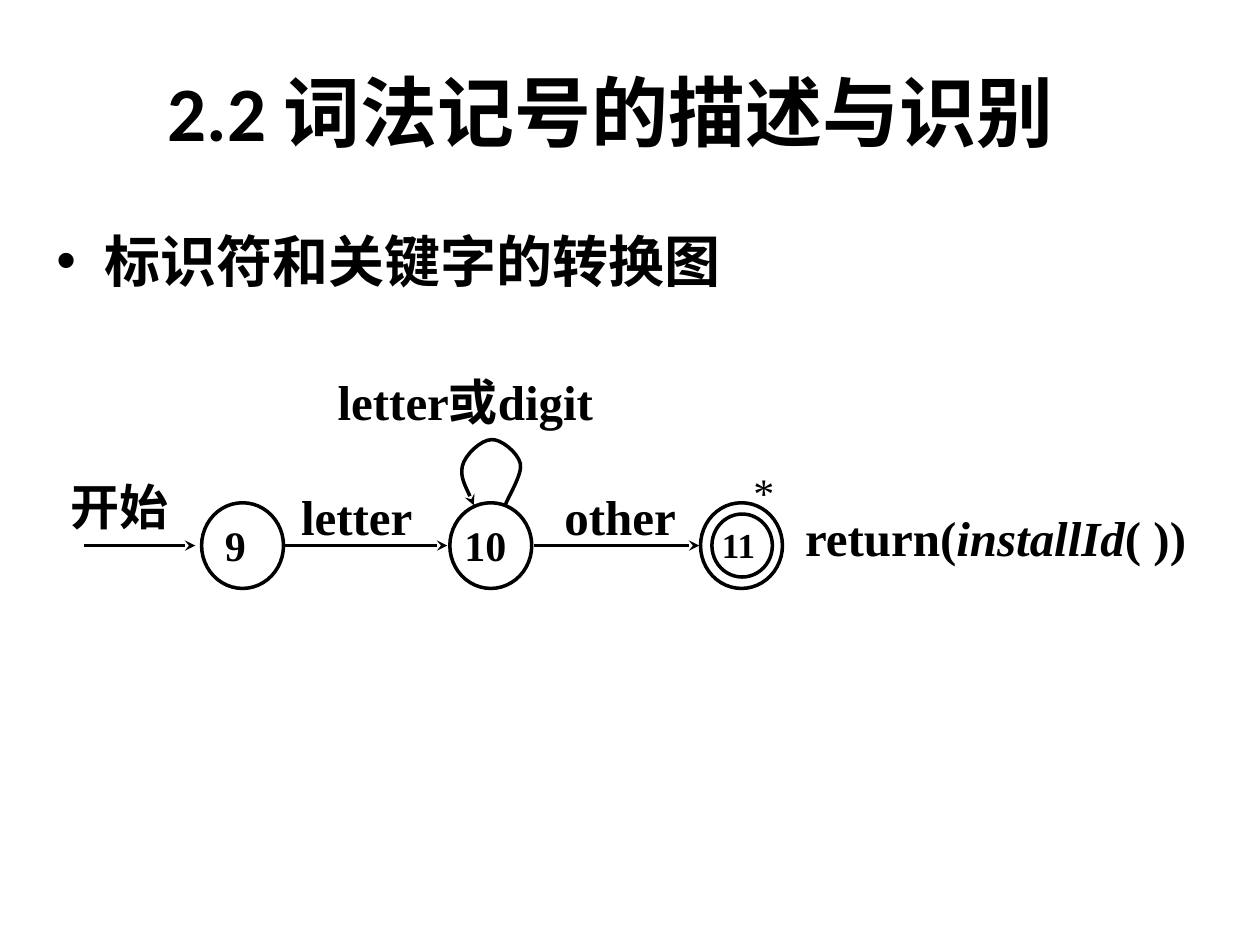
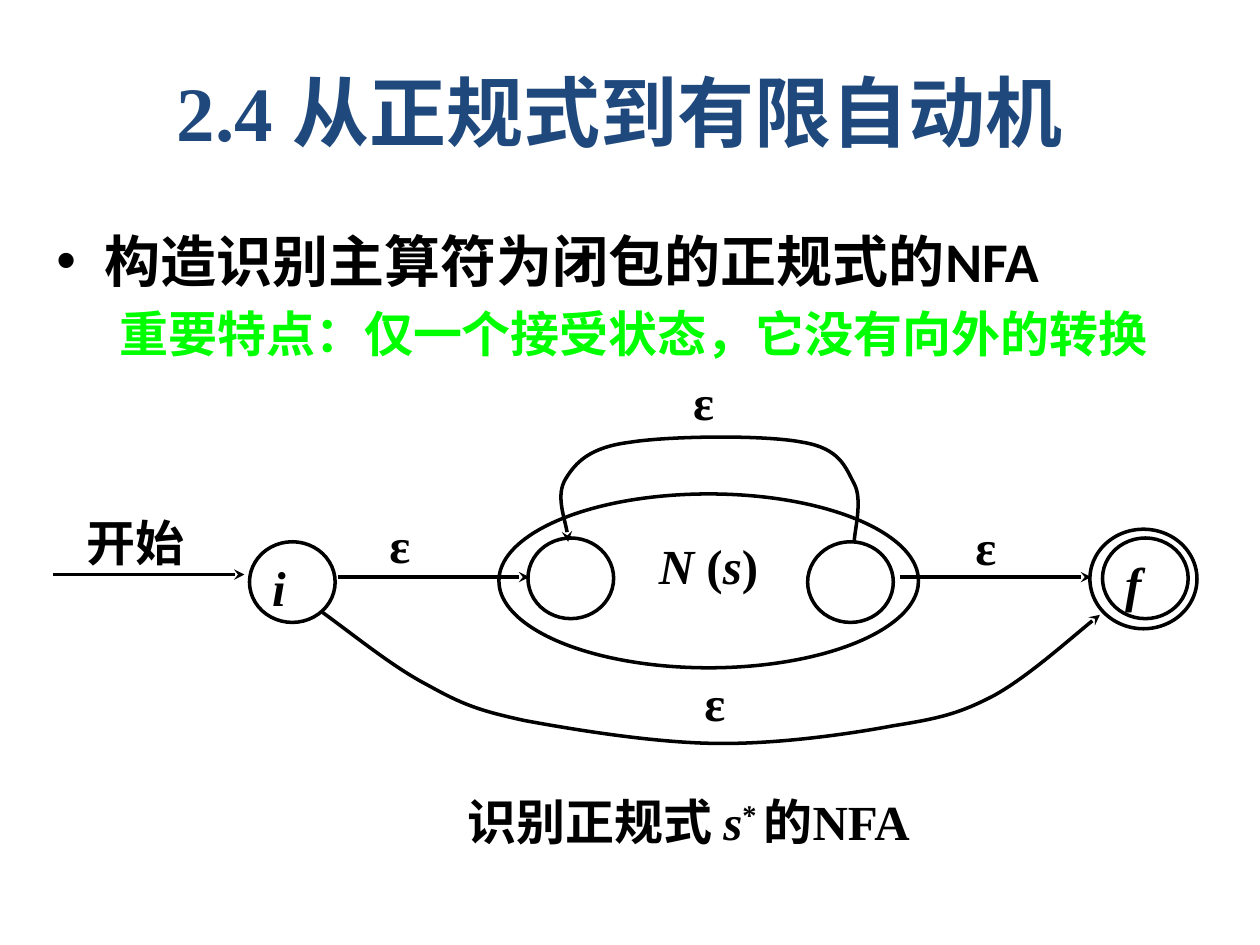
from lxml import etree
from pptx import Presentation
from pptx.dml.color import RGBColor
from pptx.enum.shapes import MSO_CONNECTOR as LINE, MSO_SHAPE as SHAPE
from pptx.enum.text import MSO_ANCHOR as ANCHOR, PP_ALIGN as ALIGN
from pptx.oxml.ns import qn
from pptx.util import Inches, Pt

WIDTH, HEIGHT = 10, 7.5
COLORS = {"ink": "000000", "navy": "1F497D", "green": "00FF00"}
SERIF, SANS, CJK = "Times New Roman", "Calibri", "Noto Sans CJK SC"
TITLE_BOX = (0.67, 0.25, 8.5, 1.25)
BODY_LEFT, BODY_TOP, BODY_WIDTH = 0.35, 1.75, 9.37
BOX_INSETS = (0.1, 0.05, 0.1, 0.05)
LABEL_INSETS = (0.06, 0.03, 0.06, 0.03)
WIDE_INSETS = (0.09, 0.03, 0.1, 0.05)
EPSILON_SIZE = (0.65, 0.59)

# A run is (text, font options). Boxes and states are (left, top, width, height).
# A curve lists its start, then two control points and an end per segment.
IDENTIFIERS = {
    "title": ("2.2 词法记号的描述与识别 ", SANS, "ink"),
    "body_height": 0.82,
    "bullet": [("标识符和关键字的转换图", {"font": SANS})],
    "note": None,
    "states": [
        ((1.6, 3.99, 0.65, 0.68), "9", {"size": 24}, (0.09, 0.03, 0.1, 0.05)),
        ((3.57, 3.99, 0.65, 0.68), "10", {"size": 24}, (0.02, 0.03, 0.02, 0.05)),
        ((5.56, 3.99, 0.65, 0.68), "", {}, None),
        ((5.65, 4.08, 0.48, 0.5), "11", {"size": 20}, (0.01, 0, 0.01, 0)),
    ],
    "arrows": [(0.67, 1.55, 4.33), (2.25, 3.55, 4.33), (4.24, 5.55, 4.33)],
    "curves": [
        [(4.01, 4.01),
         (4.03, 3.95), (4.15, 3.76), (4.13, 3.68),
         (4.11, 3.59), (3.97, 3.48), (3.9, 3.49),
         (3.82, 3.49), (3.69, 3.61), (3.67, 3.7),
         (3.65, 3.79), (3.74, 3.95), (3.76, 4.01)],
    ],
    "labels": [
        ((0.5, 3.75, 1.05, 0.52), [("开始", {})]),
        ((2.33, 3.83, 1.08, 0.49), [("letter", {})]),
        ((4.42, 3.83, 1.08, 0.58), [("other", {})]),
        ((5.92, 3.67, 0.33, 0.34), [("*", {"size": 24, "bold": False})]),
        ((2.62, 2.92, 2.65, 0.64), [("letter或digit", {})]),
        ((6.33, 4, 3.33, 0.5),
         [("return(", {}), ("installId", {"italic": True}), ("( ))", {})]),
    ],
    "epsilons": [],
}

CLOSURE = {
    "title": ("2.4 从正规式到有限自动机", SERIF, "navy"),
    "body_height": 5.31,
    "bullet": [("构造识别主算符为闭包的正规式的", {"font": CJK}), ("NFA", {"font": SANS})],
    "note": "重要特点：仅一个接受状态，它没有向外的转换",
    "states": [
        ((3.96, 3.92, 3.33, 1.38), "", {}, None),
        ((4.19, 4.27, 0.68, 0.64), "", {}, None),
        ((6.41, 4.3, 0.68, 0.64), "", {}, None),
        ((8.65, 4.2, 0.85, 0.79), "", {}, None),
        ((8.75, 4.27, 0.68, 0.64), "f", {"italic": True}, (0.08, 0.03, 0.02, 0.02)),
        ((1.98, 4.3, 0.68, 0.64), "i", {"italic": True}, (0.08, 0.03, 0.02, 0.05)),
    ],
    "arrows": [(0.42, 1.94, 4.56), (2.68, 4.2, 4.58), (7.14, 8.66, 4.58)],
    "curves": [
        [(2.56, 4.86),
         (2.86, 5.08), (3.13, 5.3), (3.4, 5.44),
         (3.67, 5.59), (3.8, 5.64), (4.17, 5.72),
         (4.55, 5.79), (5.16, 5.89), (5.65, 5.9),
         (6.14, 5.91), (6.72, 5.83), (7.09, 5.76),
         (7.47, 5.7), (7.62, 5.66), (7.89, 5.52),
         (8.16, 5.37), (8.56, 5.01), (8.73, 4.88)],
        [(6.78, 4.3),
         (6.78, 4.22), (6.85, 3.97), (6.78, 3.84),
         (6.71, 3.71), (6.67, 3.56), (6.37, 3.51),
         (6.07, 3.45), (5.31, 3.46), (5, 3.51),
         (4.68, 3.55), (4.57, 3.67), (4.49, 3.8),
         (4.41, 3.93), (4.51, 4.19), (4.51, 4.3)],
    ],
    "labels": [
        ((0.63, 4.04, 1.11, 0.61), [("开始", {})]),
        ((5.17, 4.22, 1.16, 0.77),
         [("N ", {"italic": True}), ("(", {}), ("s", {"italic": True}), (")", {})]),
        ((2.92, 6.25, 5.09, 0.54),
         [("识别正规式 ", {}), ("s", {"italic": True}),
          ("* ", {"raised": True}), ("的NFA", {})], ALIGN.CENTER),
    ],
    "epsilons": [(3, 4.05), (5.5, 5.31), (7.65, 4.07), (5.41, 2.92)],
}


def rgb(name):
    return RGBColor.from_string(COLORS[name])


def add_run(p, text, size=28, font=SERIF, color="ink", bold=True, italic=False, raised=False):
    r = p.add_run()
    r.text = text
    f = r.font
    f.size, f.bold, f.italic, f.name = Pt(size), bold, italic, font
    f.color.rgb = rgb(color)
    props = r._r.get_or_add_rPr()
    east_asian = etree.Element(qn("a:ea"), typeface=CJK)
    props.find(qn("a:latin")).addnext(east_asian)
    if raised:
        props.set("baseline", "30000")


def set_frame(tf, insets, anchor=ANCHOR.TOP):
    tf.word_wrap = True
    tf.vertical_anchor = anchor
    tf.margin_left, tf.margin_top, tf.margin_right, tf.margin_bottom = map(Inches, insets)


def add_text(slide, box, runs, align=ALIGN.LEFT, insets=LABEL_INSETS, anchor=ANCHOR.TOP):
    tf = slide.shapes.add_textbox(*map(Inches, box)).text_frame
    set_frame(tf, insets, anchor)
    p = tf.paragraphs[0]
    p.alignment = align
    for text, options in runs:
        add_run(p, text, **options)
    return tf


def indent(p, margin, first, bullet=None):
    props = p._p.get_or_add_pPr()
    props.set("marL", str(Inches(margin)))
    props.set("indent", str(Inches(first)))
    if bullet:
        etree.SubElement(props, qn("a:buFont"), typeface="Arial")
        etree.SubElement(props, qn("a:buChar"), char=bullet)


def add_body(slide, height, bullet, note):
    runs = [(text, {"size": 32, **options}) for text, options in bullet]
    tf = add_text(slide, (BODY_LEFT, BODY_TOP, BODY_WIDTH, height), runs, insets=BOX_INSETS)
    indent(tf.paragraphs[0], 0.38, -0.38, "•")
    if note:
        p = tf.add_paragraph()
        indent(p, 0.5, 0)
        p.space_before = Pt(5.6)
        add_run(p, note, font=CJK, color="green")


def set_line(sp, arrow=False):
    sp.line.color.rgb = rgb("ink")
    sp.line.width = Pt(2)
    if arrow:
        etree.SubElement(sp.line._get_or_add_ln(), qn("a:tailEnd"), type="stealth")


def add_state(slide, box, name, options, insets):
    sp = slide.shapes.add_shape(SHAPE.OVAL, *map(Inches, box))
    sp.fill.background()
    sp.shadow.inherit = False
    set_line(sp)
    if name:
        set_frame(sp.text_frame, insets)
        p = sp.text_frame.paragraphs[0]
        p.alignment = ALIGN.LEFT
        add_run(p, name, **options)


def add_arrow(slide, start, end, y):
    line = slide.shapes.add_connector(LINE.STRAIGHT, *map(Inches, (start, y, end, y)))
    set_line(line, arrow=True)
    etree.SubElement(line._element.spPr, qn("a:effectLst"))


def add_curve(slide, points):
    """Draw the points as an outline, then join every three steps into a Bézier segment."""
    start, *rest = [(Inches(x), Inches(y)) for x, y in points]
    builder = slide.shapes.build_freeform(*start)
    builder.add_line_segments(rest, close=False)
    sp = builder.convert_to_shape()
    sp.fill.background()
    sp.shadow.inherit = False
    set_line(sp, arrow=True)
    steps = list(sp._element.iter(qn("a:lnTo")))
    for i in range(0, len(steps), 3):
        bezier = etree.Element(qn("a:cubicBezTo"))
        steps[i].addprevious(bezier)
        for step in steps[i:i + 3]:
            bezier.append(step[0])
            step.getparent().remove(step)


def add_automaton_slide(prs, content):
    slide = prs.slides.add_slide(prs.slide_layouts[6])
    title, font, color = content["title"]
    add_text(slide, TITLE_BOX, [(title, {"size": 44, "font": font, "color": color})],
             ALIGN.CENTER, BOX_INSETS, ANCHOR.MIDDLE)
    add_body(slide, content["body_height"], content["bullet"], content["note"])
    for state in content["states"]:
        add_state(slide, *state)
    for arrow in content["arrows"]:
        add_arrow(slide, *arrow)
    for points in content["curves"]:
        add_curve(slide, points)
    for label in content["labels"]:
        add_text(slide, *label)
    for corner in content["epsilons"]:
        add_text(slide, corner + EPSILON_SIZE, [("ε", {})], insets=WIDE_INSETS)


def main():
    prs = Presentation()
    prs.slide_width, prs.slide_height = Inches(WIDTH), Inches(HEIGHT)
    for content in (IDENTIFIERS, CLOSURE):
        add_automaton_slide(prs, content)
    prs.save("out.pptx")


if __name__ == "__main__":
    main()
